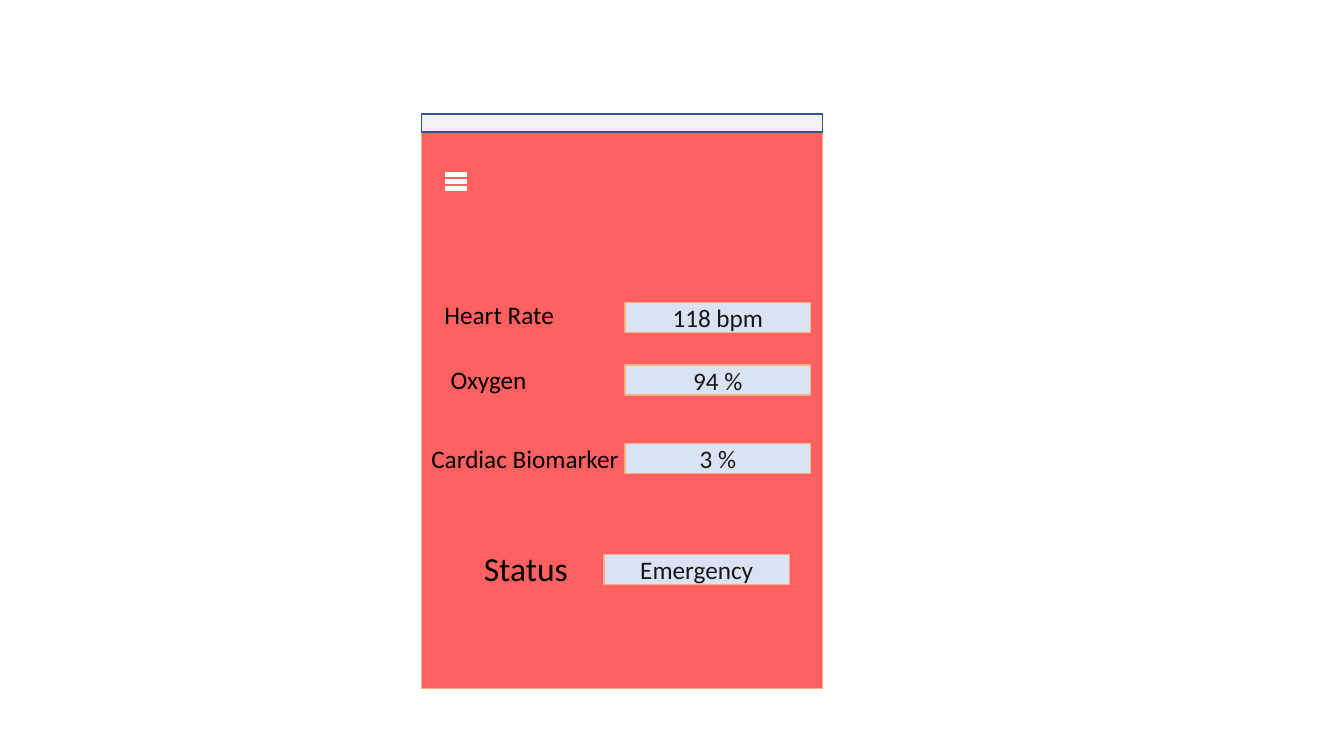
from pptx import Presentation
from pptx.dml.color import RGBColor
from pptx.enum.shapes import MSO_SHAPE
from pptx.enum.text import MSO_ANCHOR, PP_ALIGN
from pptx.util import Pt

PX = 9144
RECT = MSO_SHAPE.RECTANGLE
MINUS = MSO_SHAPE.MATH_MINUS
MIDDLE = MSO_ANCHOR.MIDDLE
CENTER = PP_ALIGN.CENTER
FONT = "Calibri"
PEACH = "F4B183"
WHITE = "FFFFFF"


def color(code):
    return RGBColor.from_string(code)


def scale(*sizes):
    return [size * PX for size in sizes]


def write(frame, text, size, ink):
    frame.word_wrap = True
    frame.text = text
    font = frame.paragraphs[0].runs[0].font
    font.name = FONT
    font.size = Pt(size)
    font.color.rgb = color(ink)


def block(slide, kind, box, fill, line):
    shape = slide.shapes.add_shape(kind, *scale(*box))
    shape.shadow.inherit = False
    shape.fill.solid()
    shape.fill.fore_color.rgb = color(fill)
    shape.line.color.rgb = color(line)
    shape.line.width = Pt(1)
    return shape


def label(slide, text, box, size=18):
    shape = slide.shapes.add_textbox(*scale(*box))
    write(shape.text_frame, text, size, "000000")


def value(slide, text, left, top):
    shape = block(slide, RECT, (left, top, 184, 30), "DAE3F3", PEACH)
    frame = shape.text_frame
    write(frame, text, 18, "181717")
    frame.vertical_anchor = MIDDLE
    frame.paragraphs[0].alignment = CENTER


def menu(slide, left, top):
    for row in range(3):
        bar = block(slide, MINUS, (left, top + row * 7, 30, 21), WHITE, WHITE)
        bar.line.fill.background()


def main():
    deck = Presentation()
    deck.slide_width, deck.slide_height = scale(1333, 750)
    slide = deck.slides.add_slide(deck.slide_layouts[6])

    block(slide, RECT, (418, 115, 398, 568), "FF6161", PEACH)
    block(slide, RECT, (418, 113, 398, 18), "F2F2F2", "325491")
    menu(slide, 437, 163)

    rows = [
        ("Heart Rate", (431, 292, 144, 40), "118 bpm", 300),
        ("Oxygen", (437, 357, 144, 40), "94 %", 362),
        ("Cardiac Biomarker", (418, 435, 214, 71), "3 %", 440),
    ]
    for name, box, text, top in rows:
        label(slide, name, box)
        value(slide, text, 620, top)

    label(slide, "Status", (470, 539, 129, 81), 24)
    value(slide, "Emergency", 599, 550)
    deck.save("out.pptx")


if __name__ == "__main__":
    main()
